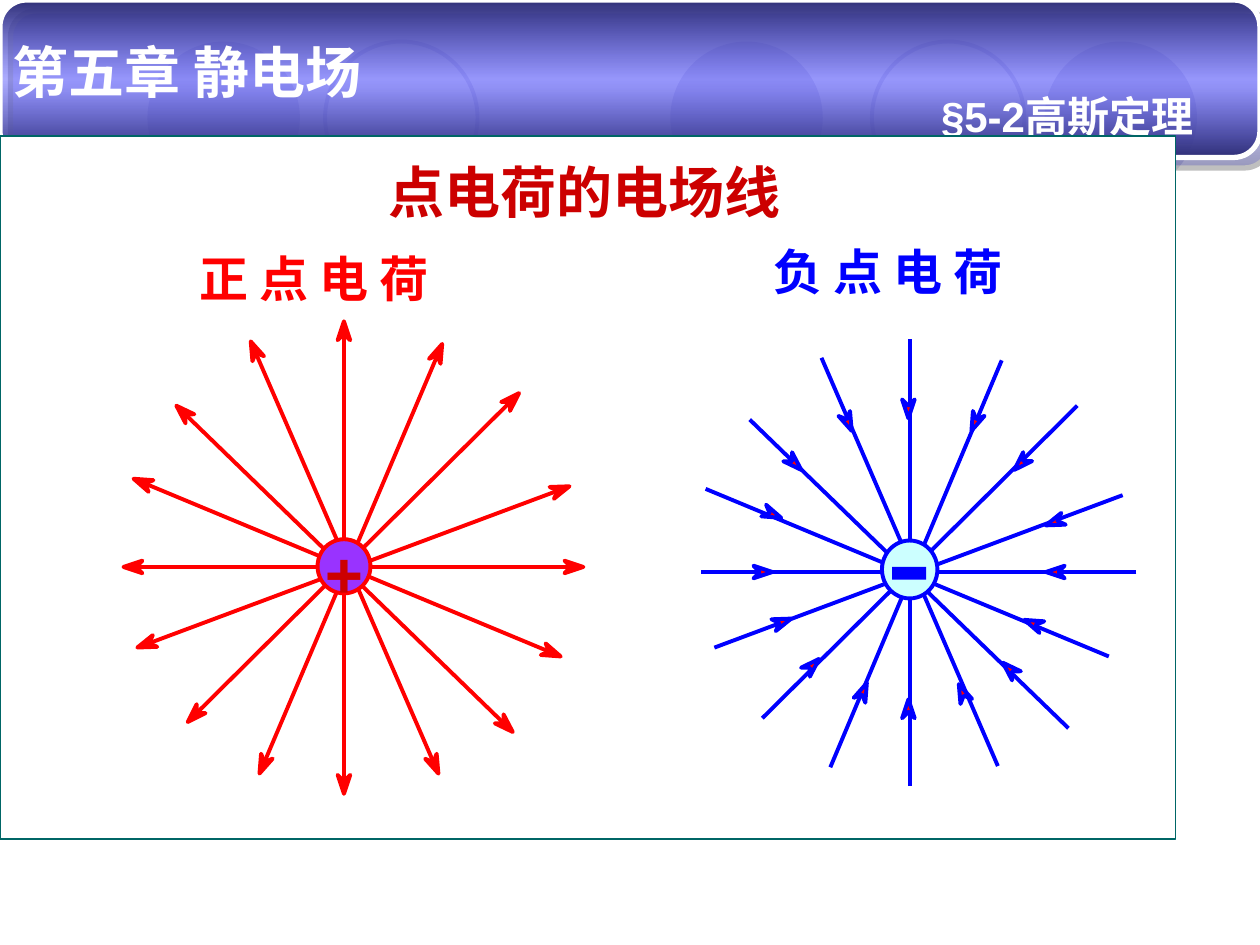
import math
from lxml import etree
from pptx import Presentation
from pptx import util as u
from pptx.dml.color import RGBColor
from pptx.enum import shapes, text
from pptx.oxml import parse_xml
from pptx.oxml.ns import nsdecls, qn

C = {"white": "FFFFFF", "pale": "D9D8EC", "navy": "2F2F75", "violet": "6767FF",
     "shadow": "808080", "teal": "006666", "crimson": "CC0000", "red": "FF0000",
     "blue": "0000FF", "purple": "9933FF", "ice": "CCFFFF"}
CJK = "Noto Sans CJK SC"

prs = Presentation()
prs.slide_width, prs.slide_height = u.Inches(10), u.Inches(7.5)
s = prs.slides.add_slide(prs.slide_layouts[6])


def style(sp, fill=None, line=None, width=2.25):
    sp.shadow.inherit = False
    if fill:
        sp.fill.solid()
        sp.fill.fore_color.rgb = RGBColor.from_string(C[fill])
    else:
        sp.fill.background()
    if line:
        sp.line.color.rgb = RGBColor.from_string(C[line])
        sp.line.width = u.Pt(width)
    else:
        sp.line.fill.background()
    return sp


def add_shape(kind, x, y, w, h, *look):
    sp = s.shapes.add_shape(kind, *map(u.Inches, (x, y, w, h)))
    return style(sp, *look)


OVAL, RECT = shapes.MSO_SHAPE.OVAL, shapes.MSO_SHAPE.RECTANGLE

# Header band: circles seen through a translucent gradient
for x in (5.32, 8.29, 1.17):
    add_shape(OVAL, x, 0.33, 1.21, 1.21, "pale")
for x in (6.92, 2.58):
    add_shape(OVAL, x, 0.33, 1.21, 1.21, None, "pale")

band = add_shape(shapes.MSO_SHAPE.ROUNDED_RECTANGLE, 0, 0, 10, 1.25, "navy", "white", 3)
band.adjustments[0] = 0.167
pr = band._element.spPr
pr.replace(pr.find(qn("a:solidFill")), parse_xml(
    f'<a:gradFill {nsdecls("a")} rotWithShape="1"><a:gsLst>'
    f'<a:gs pos="0"><a:srgbClr val="{C["navy"]}"/></a:gs>'
    f'<a:gs pos="50000"><a:srgbClr val="{C["violet"]}"><a:alpha val="53000"/></a:srgbClr></a:gs>'
    f'<a:gs pos="100000"><a:srgbClr val="{C["navy"]}"/></a:gs>'
    '</a:gsLst><a:lin ang="5400000" scaled="1"/></a:gradFill>'))
pr.find(qn("a:effectLst")).append(parse_xml(
    f'<a:outerShdw {nsdecls("a")} dist="107950" dir="2700000" algn="ctr" rotWithShape="0">'
    f'<a:srgbClr val="{C["shadow"]}"><a:alpha val="50000"/></a:srgbClr></a:outerShdw>'))

# White panel
add_shape(RECT, 0, 1.08, 9.33, 5.58, "white", "teal", 0.75)

# Positive charge: tips of both arrowheads on each line
positive = [
    (4.63, 4.5, 0.98, 4.5), (4.45, 5.21, 1.06, 3.8), (4.07, 5.81, 1.4, 3.22),
    (3.51, 2.73, 2.06, 6.14), (4.52, 3.86, 1.09, 5.14), (1.49, 5.73, 4.12, 3.12),
    (2.73, 6.3, 2.73, 2.55), (3.48, 6.14, 1.99, 2.71)]
# Negative charge: both line ends, then the tip of the arrowhead near each end
negative = [
    (9.02, 4.54, 5.56, 4.54, 8.3, 4.54, 6.13, 4.54),
    (8.8, 5.21, 5.6, 3.88, 8.13, 4.92, 6.2, 4.11),
    (8.48, 5.78, 5.95, 3.33, 7.96, 5.26, 6.36, 3.73),
    (7.95, 2.86, 6.59, 6.09, 7.71, 3.42, 6.88, 5.42),
    (8.91, 3.93, 5.67, 5.14, 8.3, 4.17, 6.28, 4.91),
    (6.05, 5.7, 8.55, 3.22, 6.5, 5.23, 8.05, 3.73),
    (7.22, 6.24, 7.22, 2.69, 7.21, 5.55, 7.21, 3.32),
    (7.92, 6.08, 6.52, 2.84, 7.61, 5.43, 6.76, 3.42)]

# Each field line: line ends, arrow tips, unit vector of the first arrow, colour
field = []
for x1, y1, x2, y2 in positive:
    d = math.hypot(x1 - x2, y1 - y2)
    ux, uy = (x1 - x2) / d, (y1 - y2) / d
    ends = (x1 - 0.1 * ux, y1 - 0.1 * uy, x2 + 0.1 * ux, y2 + 0.1 * uy)
    field.append((ends, (x1, y1, x2, y2), ux, uy, "red"))
for x1, y1, x2, y2, *tips in negative:
    d = math.hypot(x1 - x2, y1 - y2)
    field.append(((x1, y1, x2, y2), tips, (x2 - x1) / d, (y2 - y1) / d, "blue"))

for ends, tips, ux, uy, color in field:
    ln = s.shapes.add_connector(shapes.MSO_CONNECTOR.STRAIGHT, *map(u.Inches, ends))
    ln.line.color.rgb = RGBColor.from_string(C[color])
    ln.line.width = u.Pt(2.25)
    etree.SubElement(ln._element.spPr, qn("a:effectLst"))
    for x, y, sign in ((*tips[:2], 1), (*tips[2:], -1)):
        # tip, barb, notch, barb as (distance back, sideways offset)
        pts = [(u.Inches(x - sign * (b * ux + o * uy)), u.Inches(y - sign * (b * uy - o * ux)))
               for b, o in ((0, 0), (0.15, 0.05), (0.1, 0), (0.15, -0.05))]
        fb = s.shapes.build_freeform(*pts[0])
        fb.add_line_segments(pts[1:], close=True)
        style(fb.convert_to_shape(), "red", color)

# The charges
add_shape(OVAL, 2.52, 4.28, 0.42, 0.43, "purple", "red")
add_shape(OVAL, 7, 4.29, 0.44, 0.46, "ice", "blue")
add_shape(RECT, 7.08, 4.5, 0.27, 0.1, "blue")

# Texts: string, left, top, width, height, size, font, colour, inset, wrap
for label, x, y, w, h, size, font, color, inset, wrap in [
        ("第五章 静电场", 0, 0.25, 3.58, 0.64, 32, "Arial", "white", 0.1, True),
        ("§5-2高斯定理", 7.37, 0.67, 2.28, 0.5, 24, "Arial", "white", 0.1, False),
        ("点电荷的电场线", 3.08, 1.25, 3.83, 0.53, 32, CJK, "crimson", 0, True),
        ("正 点 电 荷", 1.58, 1.97, 3.32, 0.47, 28, CJK, "red", 0, True),
        ("负 点 电 荷", 6.14, 1.92, 3.07, 0.47, 28, CJK, "blue", 0, True),
        ("+", 2.58, 4.2, 0.3, 0.6, 36, "TeX Gyre Bonum", "crimson", 0, False)]:
    tf = s.shapes.add_textbox(*map(u.Inches, (x, y, w, h))).text_frame
    tf.word_wrap = wrap
    tf.vertical_anchor = text.MSO_ANCHOR.TOP
    tf.margin_left = tf.margin_right = u.Inches(inset)
    tf.margin_top = tf.margin_bottom = u.Inches(inset / 2)
    r = tf.paragraphs[0].add_run()
    r.text = label
    r.font.size, r.font.bold, r.font.name = u.Pt(size), True, font
    r.font.color.rgb = RGBColor.from_string(C[color])
    etree.SubElement(r._r.get_or_add_rPr(), qn("a:ea")).set("typeface", CJK)
    # keep a:ea straight after a:latin
    r._r.rPr.find(qn("a:latin")).addnext(r._r.rPr.find(qn("a:ea")))

# The panel covers the lower edge of the section title
panel = next(sp for sp in s.shapes if sp.width == u.Inches(9.33))
section = next(sp for sp in s.shapes if sp.has_text_frame and sp.text_frame.text.startswith("§"))
panel._element.addprevious(section._element)

prs.save("out.pptx")
